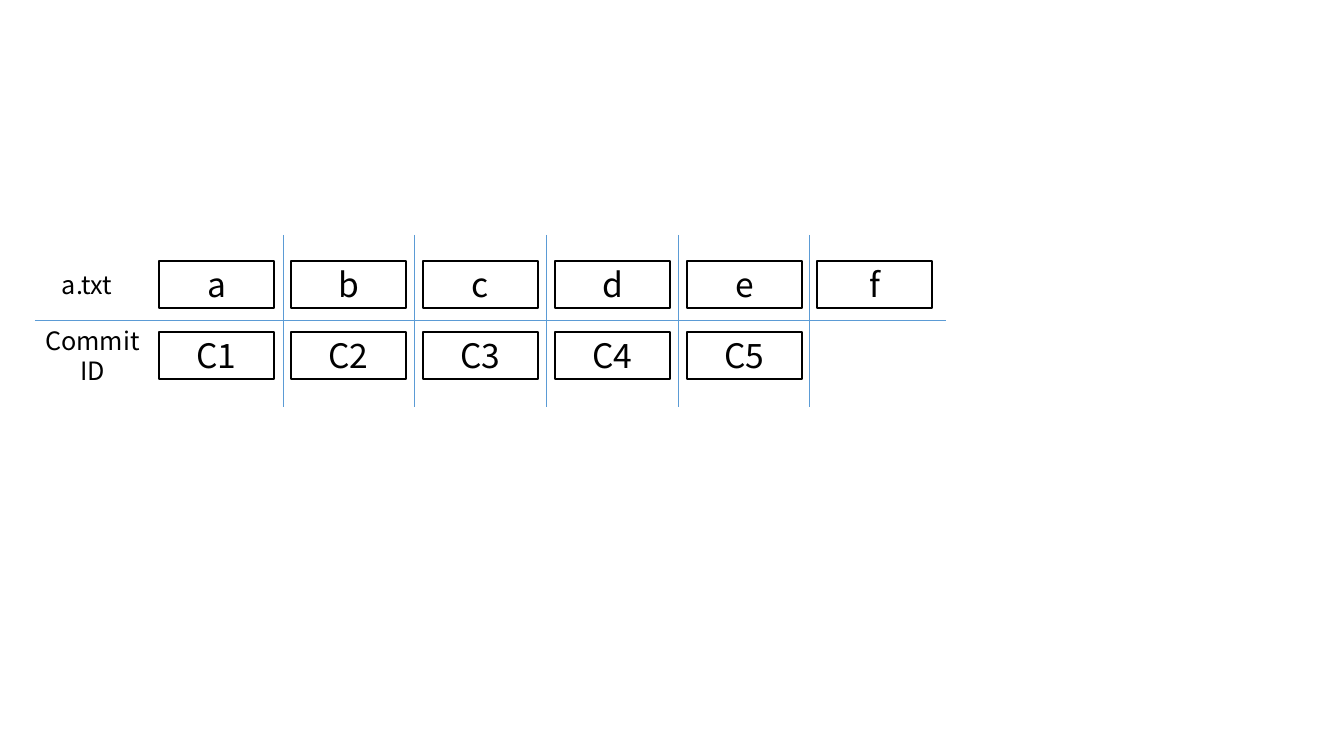
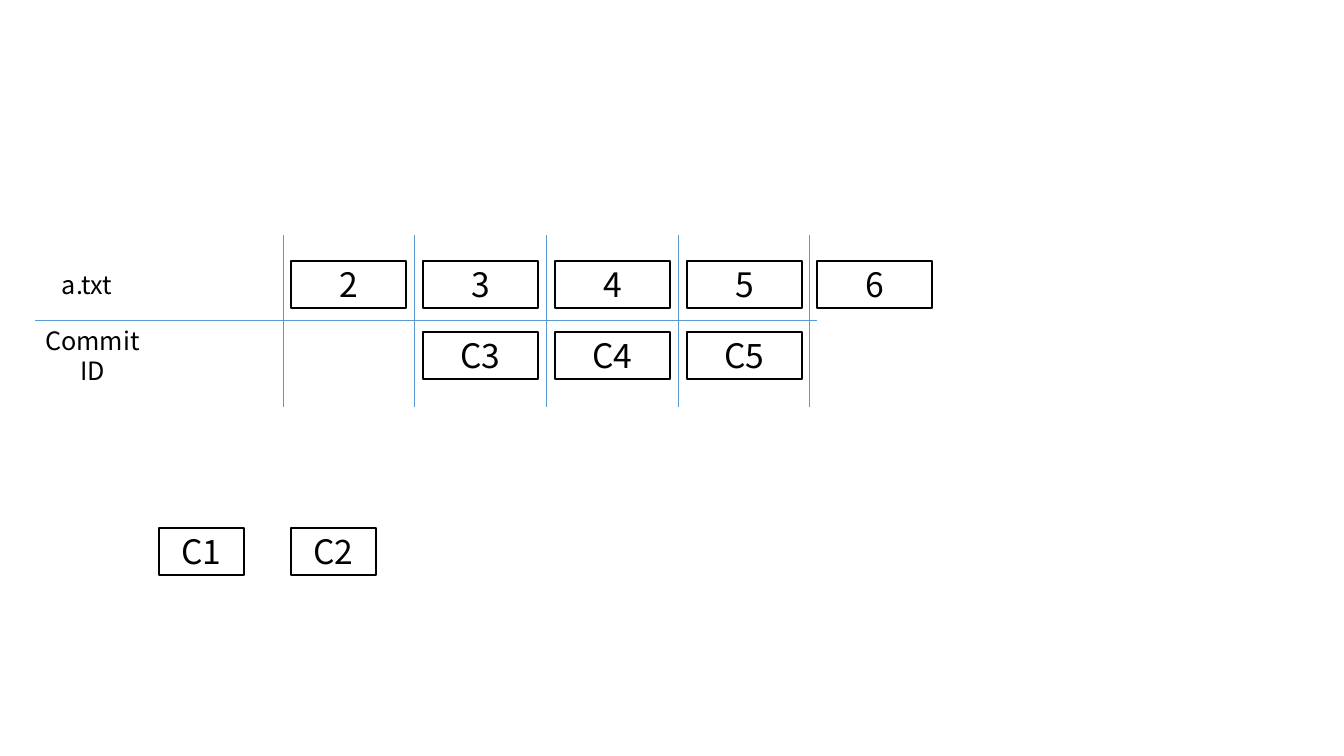
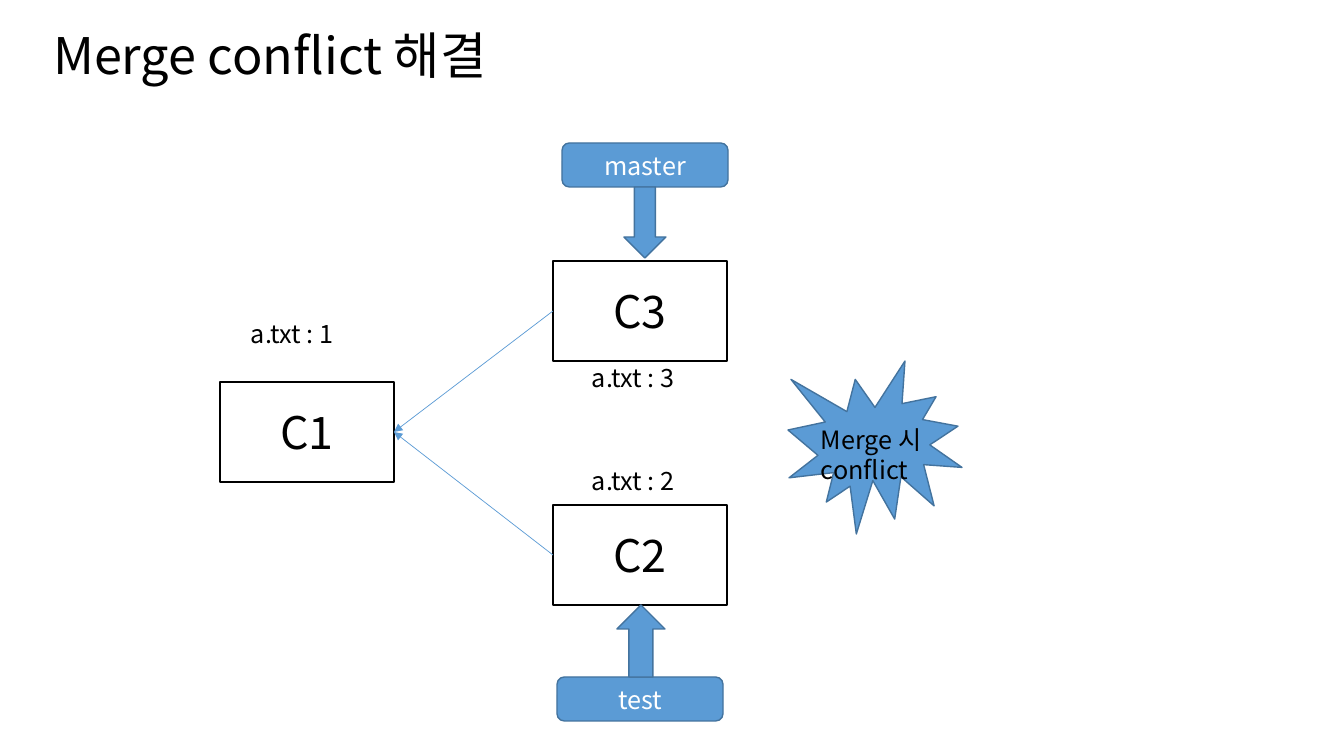
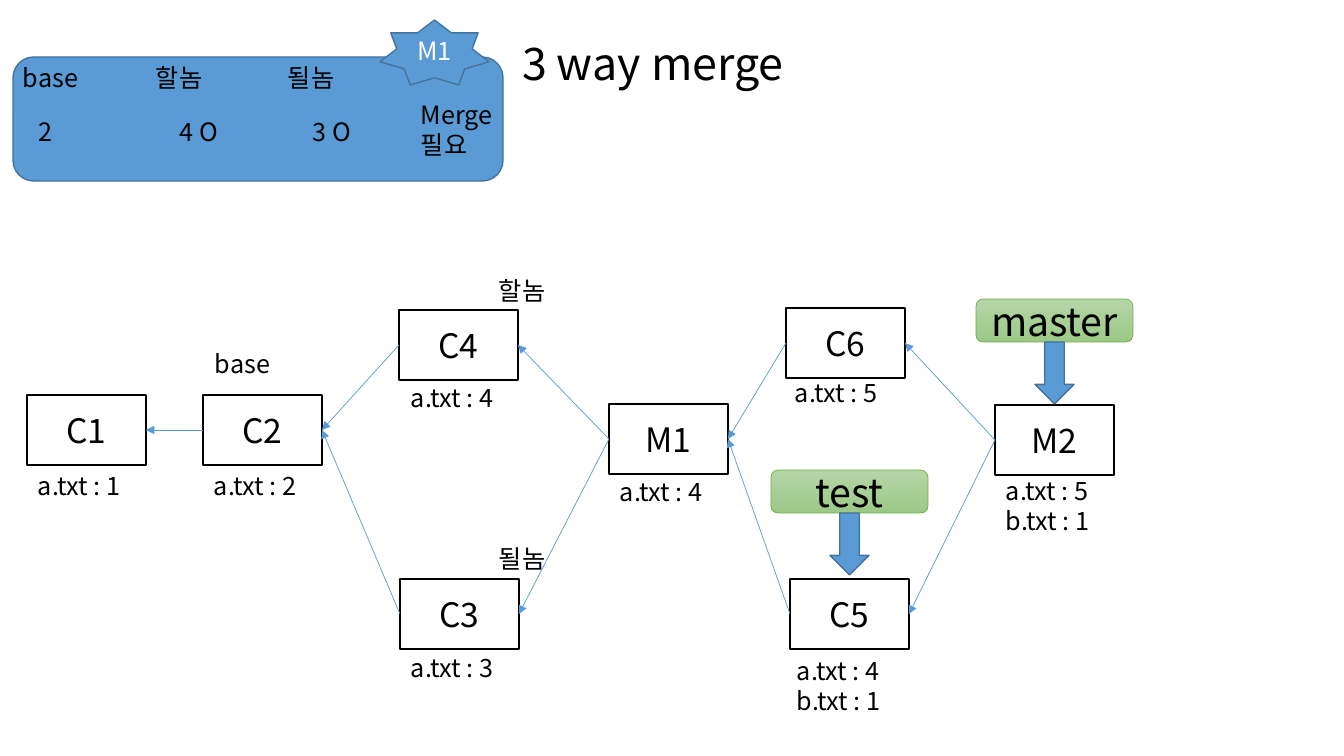
from lxml.etree import SubElement
from pptx import Presentation
from pptx.dml.color import RGBColor
from pptx.enum.shapes import MSO_CONNECTOR, MSO_SHAPE
from pptx.enum.text import MSO_ANCHOR, MSO_AUTO_SIZE, PP_ALIGN
from pptx.oxml.ns import qn
from pptx.util import Emu, Pt

COLORS = {
    "ink": "000000",
    "paper": "FFFFFF",
    "blue": "5B9BD5",
    "blue_edge": "43739E",
    "green_top": "B5D5A7",
    "green_bottom": "9CC987",
    "green_edge": "70AD47",
}
FONT = "Noto Sans CJK KR"
SCALE = 914400 / 100.8
TITLE_ONLY, BLANK = 5, 6
CELL_X = [*range(159, 688, 132), 817]
DIVIDER_X = [round(283 + 131.5 * i) for i in range(5)]


def px(value):
    return Emu(round(value * SCALE))


def rgb(name):
    return RGBColor.from_string(COLORS[name])


class Deck:
    def __init__(self):
        self.prs = Presentation()
        self.prs.slide_width, self.prs.slide_height = px(1344), px(756)
        self.s = None

    def slide(self, layout=BLANK):
        self.s = self.prs.slides.add_slide(self.prs.slide_layouts[layout])

    def set_text(self, tf, lines, size, color="ink", align=PP_ALIGN.LEFT, spacing=None):
        tf.text = lines
        for p in tf.paragraphs:
            p.alignment = align
            p.line_spacing = spacing
            p.font.size = Pt(size)
            p.font.name = FONT
            p.font.color.rgb = rgb(color)
            props = p._p.find(".//" + qn("a:defRPr"))
            SubElement(props, qn("a:ea"), typeface=FONT)

    def title(self, text, x, y, w, h, size):
        sp = self.s.shapes.title
        sp.left, sp.top, sp.width, sp.height = map(px, (x, y, w, h))
        tf = sp.text_frame
        tf.auto_size = MSO_AUTO_SIZE.NONE
        tf.vertical_anchor = MSO_ANCHOR.TOP
        self.set_text(tf, text, size, spacing=Pt(size * 1.2))

    def label(self, text, x, y, w=117, h=40, align=PP_ALIGN.LEFT, wrap=True):
        tf = self.s.shapes.add_textbox(*map(px, (x, y, w, h))).text_frame
        tf.word_wrap = wrap
        self.set_text(tf, text, 18, align=align, spacing=Pt(21.6))

    def shape(self, kind, x, y, w, h, text="", size=18, color="paper",
              fill="blue", edge="blue_edge", weight=1):
        sp = self.s.shapes.add_shape(kind, *map(px, (x, y, w, h)))
        sp.shadow.inherit = False
        sp.fill.solid()
        sp.fill.fore_color.rgb = rgb(fill)
        sp.line.color.rgb = rgb(edge)
        sp.line.width = Pt(weight)
        if text:
            sp.text_frame.vertical_anchor = MSO_ANCHOR.MIDDLE
            self.set_text(sp.text_frame, text, size, color, PP_ALIGN.CENTER)
        return sp

    def box(self, text, x, y, w, h, size=24):
        return self.shape(MSO_SHAPE.RECTANGLE, x, y, w, h, text, size,
                          "ink", "paper", "ink")

    def green_tag(self, text, x, y):
        sp = self.shape(MSO_SHAPE.ROUNDED_RECTANGLE, x, y, 157, 43, text, 28,
                        "ink", edge="green_edge", weight=0.5)
        sp.fill.gradient()
        sp.fill.gradient_angle = 270
        for stop, name in zip(sp.fill.gradient_stops, ("green_top", "green_bottom")):
            stop.color.rgb = rgb(name)
        self.shape(MSO_SHAPE.DOWN_ARROW, x + 59, y + 43, 39, 62)

    def line(self, x1, y1, x2, y2):
        cn = self.s.shapes.add_connector(MSO_CONNECTOR.STRAIGHT,
                                         *map(px, (x1, y1, x2, y2)))
        cn.line.color.rgb = rgb("blue")
        cn.line.width = Pt(0.5)
        SubElement(cn._element.spPr, qn("a:effectLst"))
        return cn

    def link(self, child, parent):
        cn = self.line(0, 0, 0, 0)
        cn.begin_connect(child, 1)
        cn.end_connect(parent, 3)
        ln = cn._element.spPr.find(qn("a:ln"))
        SubElement(ln, qn("a:tailEnd"), type="triangle")

    def timeline(self, contents, commits, right):
        self.slide()
        for y, cells in ((261, contents), (332, commits)):
            for column, text in cells:
                self.box(text, CELL_X[column], y, 115, 47)
        self.line(35, 320, right, 320)
        self.label("a.txt", 52, 264, 82)
        self.label("Commit ID", 34, 320, 117, 72, PP_ALIGN.CENTER)
        for x in DIVIDER_X:
            self.line(x, 235, x, 407)


deck = Deck()

deck.timeline(enumerate("abcdef"),
              [(i, f"C{i + 1}") for i in range(5)], 946)

deck.timeline([(i, str(i + 1)) for i in range(1, 6)],
              [(i, f"C{i + 1}") for i in range(2, 5)], 817)
for column, commit in enumerate(("C1", "C2")):
    deck.box(commit, CELL_X[column], 528, 85, 47)

deck.slide(TITLE_ONLY)
deck.title("Merge conflict 해결", 43, 19, 1262, 132, 36)
deck.shape(MSO_SHAPE.EXPLOSION1, 788, 361, 174, 173)
c1, c2, c3 = (deck.box(text, x, y, 174, 100, 32) for text, x, y in (
    ("C1", 220, 382), ("C2", 553, 505), ("C3", 553, 261)))
deck.link(c3, c1)
deck.link(c2, c1)
for branch, x, y in (("test", 557, 677), ("master", 562, 143)):
    deck.shape(MSO_SHAPE.ROUNDED_RECTANGLE, x, y, 166, 44, branch)
deck.shape(MSO_SHAPE.UP_ARROW, 617, 605, 48, 72)
deck.shape(MSO_SHAPE.DOWN_ARROW, 624, 187, 42, 71)
for text, x, y in (("a.txt : 1", 241, 313), ("a.txt : 2", 582, 460),
                   ("a.txt : 3", 582, 357)):
    deck.label(text, x, y, 153)
deck.label("Merge 시\nconflict", 811, 419, 129, 72, wrap=False)

deck.slide(TITLE_ONLY)
deck.shape(MSO_SHAPE.ROUNDED_RECTANGLE, 13, 57, 490, 124)
deck.title("3 way merge", 512, 31, 332, 65, 32)
nodes = {
    name: deck.box(name, x, y, 119, 70)
    for name, x, y in (
        ("C1", 27, 395), ("C2", 203, 395), ("C3", 400, 579),
        ("C4", 399, 310), ("M1", 609, 404), ("C5", 790, 579),
        ("C6", 786, 308), ("M2", 995, 405))
}
for child, parent in (("C2", "C1"), ("C3", "C2"), ("C4", "C2"),
                      ("M1", "C4"), ("M1", "C3"), ("C6", "M1"),
                      ("C5", "M1"), ("M2", "C6"), ("M2", "C5")):
    deck.link(nodes[child], nodes[parent])
deck.green_tag("master", 976, 299)
deck.green_tag("test", 771, 470)
for text, x, y in (
        ("a.txt : 1", 28, 465), ("a.txt : 2", 204, 465),
        ("a.txt : 3", 401, 647), ("a.txt : 4", 401, 377),
        ("a.txt : 4", 610, 471), ("a.txt : 5", 785, 372),
        ("a.txt : 4\nb.txt : 1", 787, 650),
        ("a.txt : 5\nb.txt : 1", 996, 470),
        ("base", 205, 343), ("할놈", 489, 270), ("될놈", 489, 538),
        ("base", 13, 57), ("할놈", 146, 57), ("될놈", 278, 57),
        ("2", 29, 111), ("4 O", 170, 111), ("3 O", 303, 111),
        ("Merge 필요", 411, 94)):
    deck.label(text, x, y)
deck.shape(MSO_SHAPE.STAR_7_POINT, 380, 20, 109, 65, "M1")

deck.prs.save("out.pptx")
